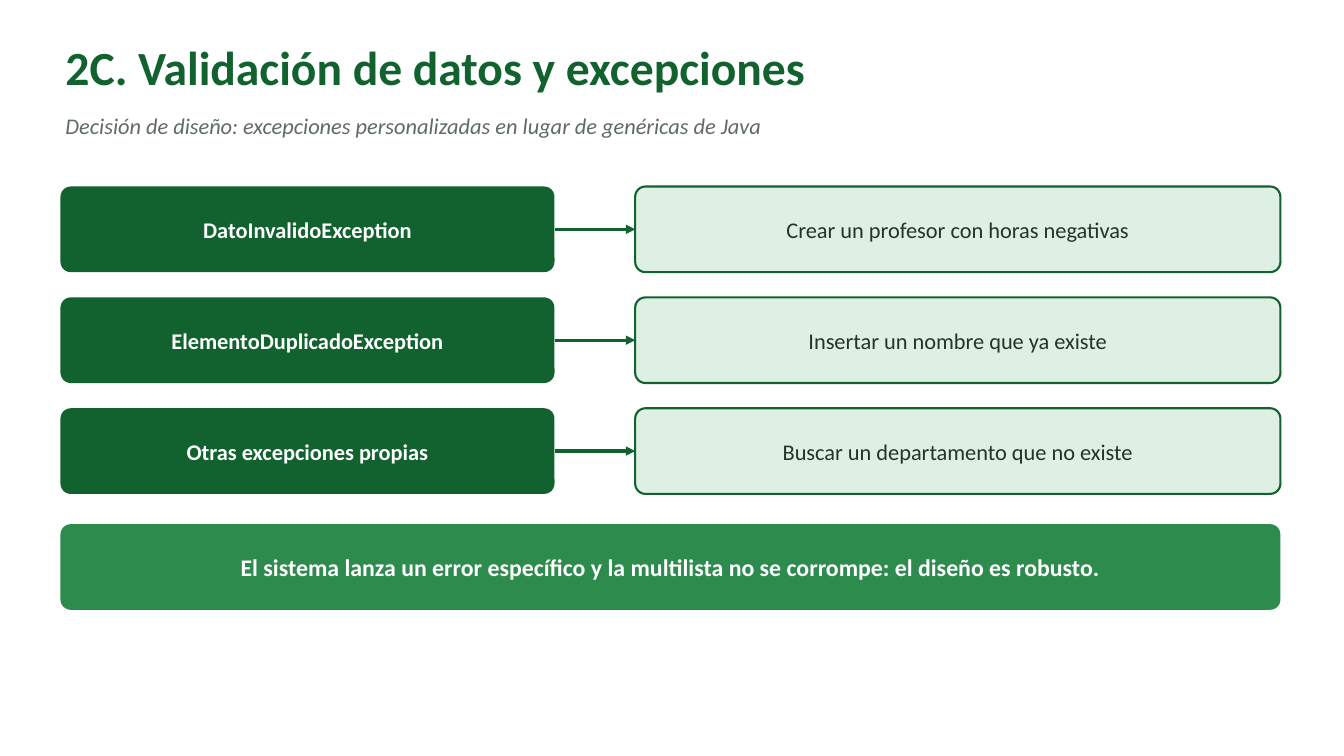
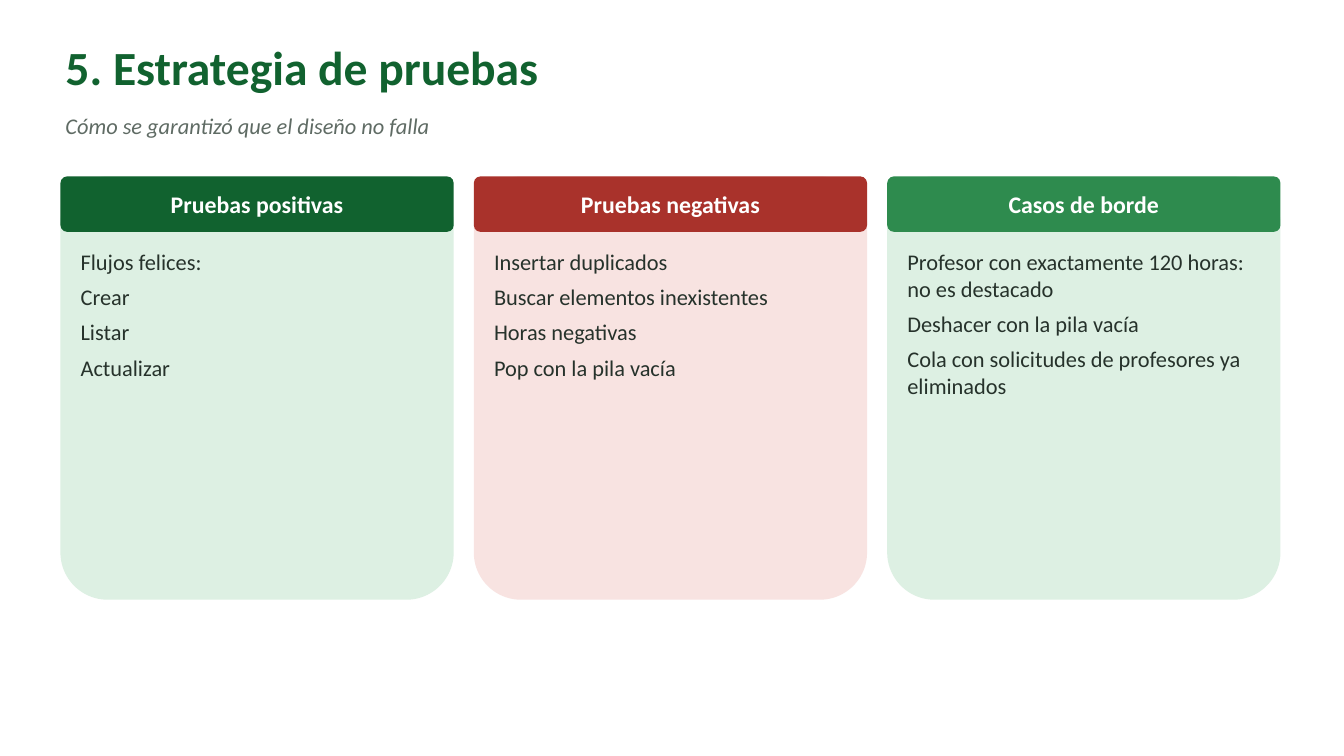
from dataclasses import dataclass

from lxml.etree import SubElement
from pptx import Presentation
from pptx.dml.color import RGBColor
from pptx.enum.shapes import MSO_CONNECTOR, MSO_SHAPE
from pptx.enum.text import MSO_ANCHOR, MSO_AUTO_SIZE, PP_ALIGN
from pptx.oxml.ns import qn
from pptx.shapes.autoshape import Shape
from pptx.slide import Slide
from pptx.util import Inches, Pt

COLORS = {
    "dark": "11622F",
    "green": "2E8B4E",
    "mint": "DDF0E3",
    "red": "A9322B",
    "pink": "F8E3E1",
    "ink": "26322B",
    "gray": "5F6B64",
    "white": "FFFFFF",
}
FONT = "Calibri"
LEFT, WIDTH = 0.6, 12.1


@dataclass(frozen=True)
class TextStyle:
    size: int
    color: str
    bold: bool = False
    italic: bool = False


@dataclass(frozen=True)
class Box:
    x: float
    y: float
    w: float
    h: float


@dataclass(frozen=True)
class ExceptionRow:
    name: str
    case: str


@dataclass(frozen=True)
class TestColumn:
    heading: str
    head_color: str
    body_color: str
    items: tuple[str, ...]


TITLE = TextStyle(34, "dark", bold=True)
SUBTITLE = TextStyle(16, "gray", italic=True)
BODY = TextStyle(16, "ink")
LABEL = TextStyle(16, "white", bold=True)
HEADING = TextStyle(17, "white", bold=True)

ROWS = (
    ExceptionRow("DatoInvalidoException", "Crear un profesor con horas negativas"),
    ExceptionRow("ElementoDuplicadoException", "Insertar un nombre que ya existe"),
    ExceptionRow("Otras excepciones propias", "Buscar un departamento que no existe"),
)
COLUMNS = (
    TestColumn("Pruebas positivas", "dark", "mint",
               ("Flujos felices:", "Crear", "Listar", "Actualizar")),
    TestColumn("Pruebas negativas", "red", "pink",
               ("Insertar duplicados", "Buscar elementos inexistentes",
                "Horas negativas", "Pop con la pila vacía")),
    TestColumn("Casos de borde", "green", "mint",
               ("Profesor con exactamente 120 horas: no es destacado",
                "Deshacer con la pila vacía",
                "Cola con solicitudes de profesores ya eliminados")),
)


def rgb(name: str) -> RGBColor:
    return RGBColor.from_string(COLORS[name])


def write(sp: Shape, lines: tuple[str, ...], style: TextStyle,
          inset: tuple[float, float], align: PP_ALIGN) -> None:
    tf = sp.text_frame
    tf.word_wrap = True
    tf.margin_left = tf.margin_right = Inches(inset[0])
    tf.margin_top = tf.margin_bottom = Inches(inset[1])
    for i, line in enumerate(lines):
        p = tf.add_paragraph() if i else tf.paragraphs[0]
        p.text = line
        p.alignment = align
        if i:
            p.space_before = Pt(6)
        p.font.name = FONT
        p.font.size = Pt(style.size)
        p.font.bold = style.bold
        p.font.italic = style.italic
        p.font.color.rgb = rgb(style.color)


def add_text(s: Slide, box: Box, lines: tuple[str, ...], style: TextStyle) -> None:
    sp = s.shapes.add_textbox(Inches(box.x), Inches(box.y), Inches(box.w), Inches(box.h))
    write(sp, lines, style, (0.05, 0.03), PP_ALIGN.LEFT)
    sp.text_frame.auto_size = MSO_AUTO_SIZE.SHAPE_TO_FIT_TEXT


def add_card(s: Slide, box: Box, fill: str, text: str = "",
             style: TextStyle = LABEL, outline: str = "") -> None:
    sp = s.shapes.add_shape(MSO_SHAPE.ROUNDED_RECTANGLE, Inches(box.x), Inches(box.y),
                            Inches(box.w), Inches(box.h))
    sp.adjustments[0] = 0.12
    sp.shadow.inherit = False
    sp.fill.solid()
    sp.fill.fore_color.rgb = rgb(fill)
    if outline:
        sp.line.color.rgb = rgb(outline)
        sp.line.width = Pt(1.5)
    else:
        sp.line.fill.background()
    if text:
        write(sp, (text,), style, (0.08, 0.04), PP_ALIGN.CENTER)
        sp.text_frame.vertical_anchor = MSO_ANCHOR.MIDDLE


def add_arrow(s: Slide, x1: float, x2: float, y: float) -> None:
    line = s.shapes.add_connector(MSO_CONNECTOR.STRAIGHT, Inches(x1), Inches(y),
                                  Inches(x2), Inches(y))
    line.line.color.rgb = rgb("dark")
    line.line.width = Pt(2.25)
    SubElement(line.line._get_or_add_ln(), qn("a:tailEnd"), type="triangle")
    SubElement(line._element.spPr, qn("a:effectLst"))


def add_slide(prs: Presentation, title: str, subtitle: str) -> Slide:
    s = prs.slides.add_slide(prs.slide_layouts[6])
    s.background.fill.solid()
    s.background.fill.fore_color.rgb = rgb("white")
    add_text(s, Box(LEFT, 0.35, WIDTH, 0.8), (title,), TITLE)
    add_text(s, Box(LEFT, 1.08, WIDTH, 0.45), (subtitle,), SUBTITLE)
    return s


def build_exceptions(prs: Presentation) -> None:
    s = add_slide(prs, "2C. Validación de datos y excepciones",
                  "Decisión de diseño: excepciones personalizadas en lugar de genéricas de Java")
    name_w, case_w, height, pitch = 4.9, 6.4, 0.85, 1.1
    case_x = LEFT + WIDTH - case_w
    for i, row in enumerate(ROWS):
        y = 1.85 + i * pitch
        add_card(s, Box(LEFT, y, name_w, height), "dark", row.name)
        add_arrow(s, LEFT + name_w, case_x, y + height / 2)
        add_card(s, Box(case_x, y, case_w, height), "mint", row.case, BODY, "dark")
    add_card(s, Box(LEFT, 5.2, WIDTH, height), "green",
             "El sistema lanza un error específico y la multilista no se corrompe: "
             "el diseño es robusto.", HEADING)


def build_tests(prs: Presentation) -> None:
    s = add_slide(prs, "5. Estrategia de pruebas",
                  "Cómo se garantizó que el diseño no falla")
    top, gap, pad = 1.75, 0.2, 0.15
    col_w = (WIDTH - gap * (len(COLUMNS) - 1)) / len(COLUMNS)
    for i, col in enumerate(COLUMNS):
        x = LEFT + i * (col_w + gap)
        add_card(s, Box(x, top, col_w, 4.2), col.body_color)
        add_card(s, Box(x, top, col_w, 0.55), col.head_color, col.heading, HEADING)
        add_text(s, Box(x + pad, 2.43, col_w - 2 * pad, 3.4), col.items, BODY)


def main() -> None:
    prs = Presentation()
    prs.slide_width, prs.slide_height = Inches(13.33), Inches(7.5)
    build_exceptions(prs)
    build_tests(prs)
    prs.save("out.pptx")


if __name__ == "__main__":
    main()
